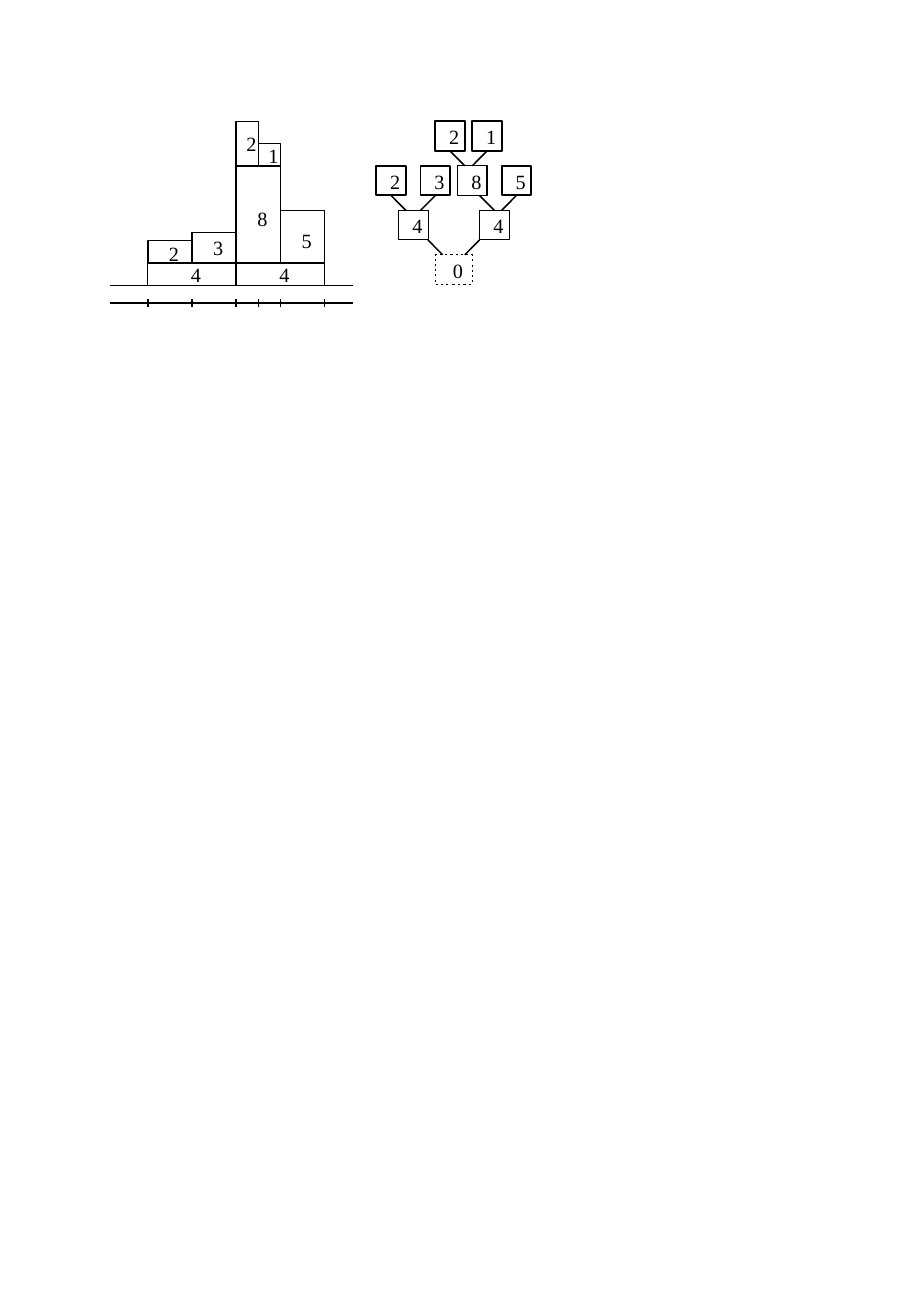
from dataclasses import dataclass

from lxml.etree import SubElement
from pptx import Presentation
from pptx.dml.color import RGBColor
from pptx.enum.shapes import MSO_CONNECTOR as CONN, MSO_SHAPE as SHAPE
from pptx.enum.text import MSO_AUTO_SIZE as AUTO
from pptx.oxml.ns import qn
from pptx.util import Cm, Pt


@dataclass(frozen=True)
class Theme:
    font: str = "Times New Roman"
    size: float = 12
    ink: RGBColor = RGBColor(0, 0, 0)
    thin: float = 0.62
    normal: float = 0.88
    thick: float = 1.13


class Diagram:
    """Draws on one slide; all lengths are in centimetres."""

    def __init__(self, slide, theme):
        self.shapes = slide.shapes
        self.theme = theme

    def stroke(self, line, weight):
        line.color.rgb = self.theme.ink
        line.width = Pt(weight)

    def box(self, x, y, w, h, weight, dotted=False):
        sp = self.shapes.add_shape(SHAPE.RECTANGLE, Cm(x), Cm(y), Cm(w), Cm(h))
        sp.shadow.inherit = False
        sp.fill.background()
        self.stroke(sp.line, weight)
        if dotted:
            ln = sp.line.fill._xPr
            dash = SubElement(ln, qn("a:custDash"))
            SubElement(dash, qn("a:ds"), d="200000", sp="300000")

    def line(self, x1, y1, x2, y2):
        cx = self.shapes.add_connector(CONN.STRAIGHT, Cm(x1), Cm(y1), Cm(x2), Cm(y2))
        self.stroke(cx.line, self.theme.normal)
        SubElement(cx._element.spPr, qn("a:effectLst"))

    def label(self, x, y, text):
        tf = self.shapes.add_textbox(Cm(x), Cm(y), Cm(0.21), Cm(0.5)).text_frame
        tf.margin_left = tf.margin_right = tf.margin_top = tf.margin_bottom = 0
        tf.word_wrap = False
        tf.auto_size = AUTO.SHAPE_TO_FIT_TEXT
        tf.text = text
        font = tf.paragraphs[0].runs[0].font
        font.name, font.size = self.theme.font, Pt(self.theme.size)
        font.color.rgb = self.theme.ink


UNIT = 1.85 / 4    # width of the narrowest block
STEP = UNIT / 3    # column step of the tree
STACK_X, GROUND = 3.09, 5.97
TREE_X, TREE_Y, ROW, NODE = 7.87, 2.54, 0.93, 0.62

# value, first unit, units wide, top, bottom, label top
BLOCKS = [
    ("2", 4, 1, 2.54, 3.47, 2.74),
    ("1", 5, 1, 3.00, 3.47, 3.00),
    ("8", 4, 2, 3.47, 5.50, 4.32),
    ("5", 6, 2, 4.40, 5.50, 4.78),
    ("3", 2, 2, 4.87, 5.50, 4.93),
    ("2", 0, 2, 5.03, 5.50, 5.05),
    ("4", 0, 4, 5.50, GROUND, 5.49),
    ("4", 4, 4, 5.50, GROUND, 5.49),
]
TICKS = [0, 2, 4, 5, 6, 8]

# value, column for each row; values in LEAVES rows have thick frames
NODES = [
    [("2", 8), ("1", 13)],
    [("2", 0), ("3", 6), ("8", 11), ("5", 17)],
    [("4", 3), ("4", 14)],
]
INNER = {"8", "4"}
# upper end column and slant (1 = down to the right) below each row
EDGES = [
    [(10, 1), (15, -1)],
    [(2, 1), (8, -1), (14, 1), (19, -1)],
    [(7, 1), (14, -1)],
]


def draw_stack(d):
    d.line(2.31, GROUND, 7.39, GROUND)
    for value, start, units, top, bottom, label_y in BLOCKS:
        x, w = STACK_X + start * UNIT, units * UNIT
        d.box(x, top, w, bottom - top, d.theme.normal)
        d.label(x + w / 2 - 0.02, label_y, value)
    d.line(2.29, 6.34, 7.39, 6.34)
    for tick in TICKS:
        x = STACK_X + tick * UNIT
        d.line(x, 6.26, x, 6.42)


def draw_tree(d):
    for row, (nodes, edges) in enumerate(zip(NODES, EDGES)):
        y = TREE_Y + row * ROW
        for value, col in nodes:
            x = TREE_X + col * STEP
            d.box(x, y, NODE, NODE, d.theme.thin if value in INNER else d.theme.thick)
            d.label(x + 0.29, y + 0.07, value)
        for col, slant in edges:
            x = TREE_X + col * STEP
            d.line(x, y + NODE, x + 2 * slant * STEP, y + ROW)
    x, y = TREE_X + 8 * STEP, TREE_Y + len(NODES) * ROW
    d.box(x, y, 5 * STEP, NODE, d.theme.thin, dotted=True)
    d.label(x + 0.37, y + 0.07, "0")


def main():
    prs = Presentation()
    prs.slide_width, prs.slide_height = Cm(19.05), Cm(27.53)
    d = Diagram(prs.slides.add_slide(prs.slide_layouts[6]), Theme())
    draw_stack(d)
    draw_tree(d)
    prs.save("out.pptx")


if __name__ == "__main__":
    main()
